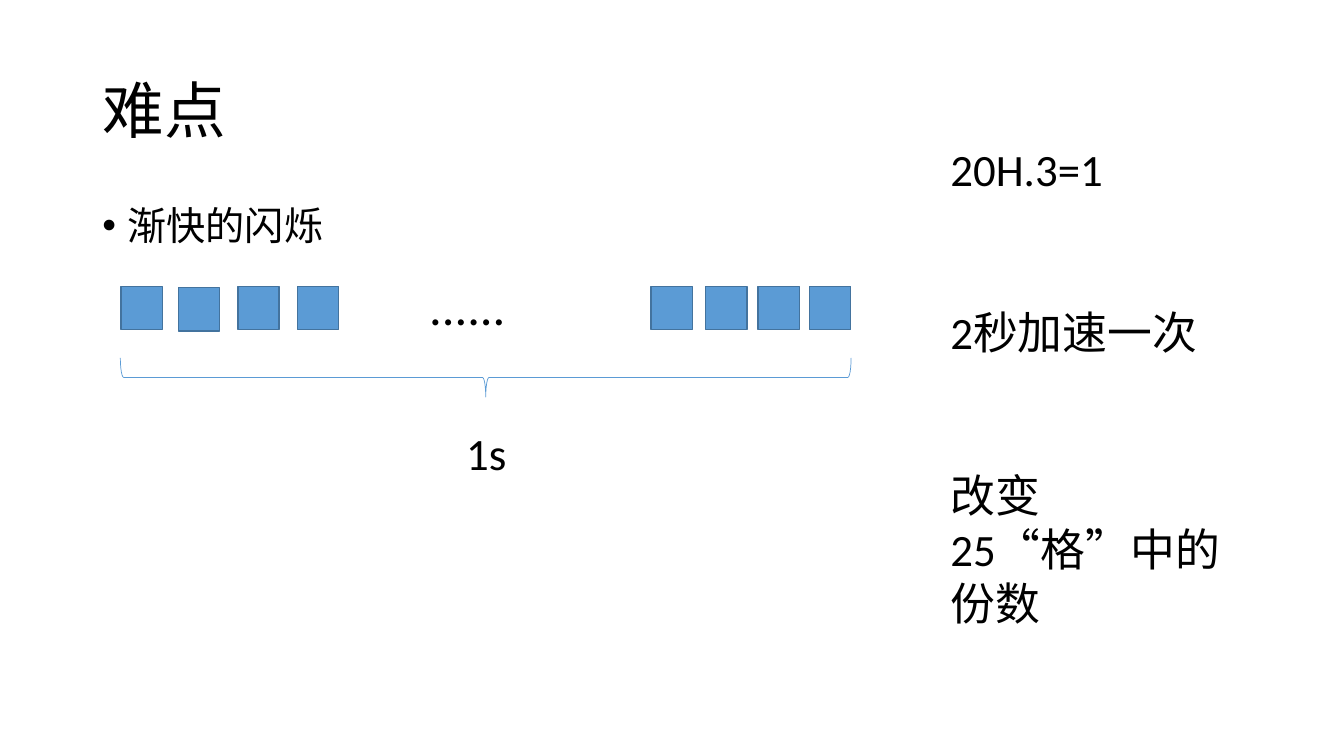
from lxml import etree
from pptx import Presentation
from pptx.dml.color import RGBColor
from pptx.enum.shapes import MSO_SHAPE
from pptx.enum.text import MSO_ANCHOR, MSO_AUTO_SIZE, PP_ALIGN
from pptx.oxml.ns import qn
from pptx.util import Pt

RECT, BRACE = MSO_SHAPE.RECTANGLE, MSO_SHAPE.RIGHT_BRACE
LEFT, CENTER = PP_ALIGN.LEFT, PP_ALIGN.CENTER
MIDDLE, TOP = MSO_ANCHOR.MIDDLE, MSO_ANCHOR.TOP
NO_FIT = MSO_AUTO_SIZE.NONE
COLORS = {"text": "000000", "cell": "5B9BD5", "edge": "43739E"}
FONT = "Calibri"
TITLE_ONLY = 5

CELL_W, CELL_H = 29.5, 31
CELLS = [(86.4, 204.5), (127.4, 205.5), (169.9, 204.5), (212.4, 204.5),
         (465.1, 204.5), (504, 204.5), (541.4, 204.5), (578.2, 204.5)]


def color(name):
    return RGBColor.from_string(COLORS[name])


def fill_text(sp, lines, size, anchor=TOP, **formats):
    """Write the lines as paragraphs, all with the same paragraph format."""
    tf = sp.text_frame
    for name, value in {"word_wrap": True, "auto_size": NO_FIT,
                        "vertical_anchor": anchor}.items():
        setattr(tf, name, value)
    gap = formats.pop("gap", 0)
    for i, line in enumerate(lines):
        p = tf.paragraphs[0] if i == 0 else tf.add_paragraph()
        for name, value in {"alignment": LEFT, "space_before": Pt(gap if i else 0),
                            **formats}.items():
            setattr(p, name, value)
        r = p.add_run()
        r.text = line
        for name, value in {"name": FONT, "size": Pt(size)}.items():
            setattr(r.font, name, value)
        r.font.color.rgb = color("text")
    return tf


def add_title(slide, text, box):
    sp = slide.shapes.title
    for name, value in zip(("left", "top", "width", "height"), box):
        setattr(sp, name, Pt(value))
    fill_text(sp, [text], 44, MIDDLE, line_spacing=0.9)


def add_text(slide, lines, box, size, **formats):
    sp = slide.shapes.add_textbox(*map(Pt, box))
    return fill_text(sp, lines, size, **formats)


def add_bullet(slide, text, box, size):
    p = add_text(slide, [text], box, size, line_spacing=0.9).paragraphs[0]
    pPr = p._p.get_or_add_pPr()
    pPr.set("marL", str(Pt(18)))
    pPr.set("indent", str(-Pt(18)))
    etree.SubElement(pPr, qn("a:buFont")).set("typeface", "Arial")
    etree.SubElement(pPr, qn("a:buChar")).set("char", "•")


def add_shape(slide, kind, box, line, width, fill=None):
    sp = slide.shapes.add_shape(kind, *map(Pt, box))
    sp.shadow.inherit = False
    if fill:
        sp.fill.solid()
        sp.fill.fore_color.rgb = color(fill)
    else:
        sp.fill.background()
    sp.line.color.rgb = color(line)
    sp.line.width = Pt(width)
    return sp


def main():
    prs = Presentation()
    prs.slide_width, prs.slide_height = Pt(960), Pt(540)
    slide = prs.slides.add_slide(prs.slide_layouts[TITLE_ONLY])

    # Heading and topic
    add_title(slide, "难点", (66, 28.8, 828, 104.4))
    add_bullet(slide, "渐快的闪烁", (66, 144, 828, 342.7), 28)

    # Row of time cells
    for x, y in CELLS:
        add_shape(slide, RECT, (x, y, CELL_W, CELL_H), "edge", 1, "cell")
    add_text(slide, ["......"], (299.5, 193, 153.4, 51), 36)

    # Brace over the whole second
    brace = add_shape(slide, BRACE, (332.9, 8.6, 28.1, 522), "cell", 0.5)
    brace.rotation = 90
    add_text(slide, ["1s"], (294.5, 300.2, 105.8, 46), 32, alignment=CENTER)

    # Notes on the right
    add_text(slide, ["20H.3=1", "2秒加速一次", "改变25“格”中的份数"],
             (671.8, 97.9, 212.4, 433.4), 32, gap=78)

    prs.save("out.pptx")


if __name__ == "__main__":
    main()
